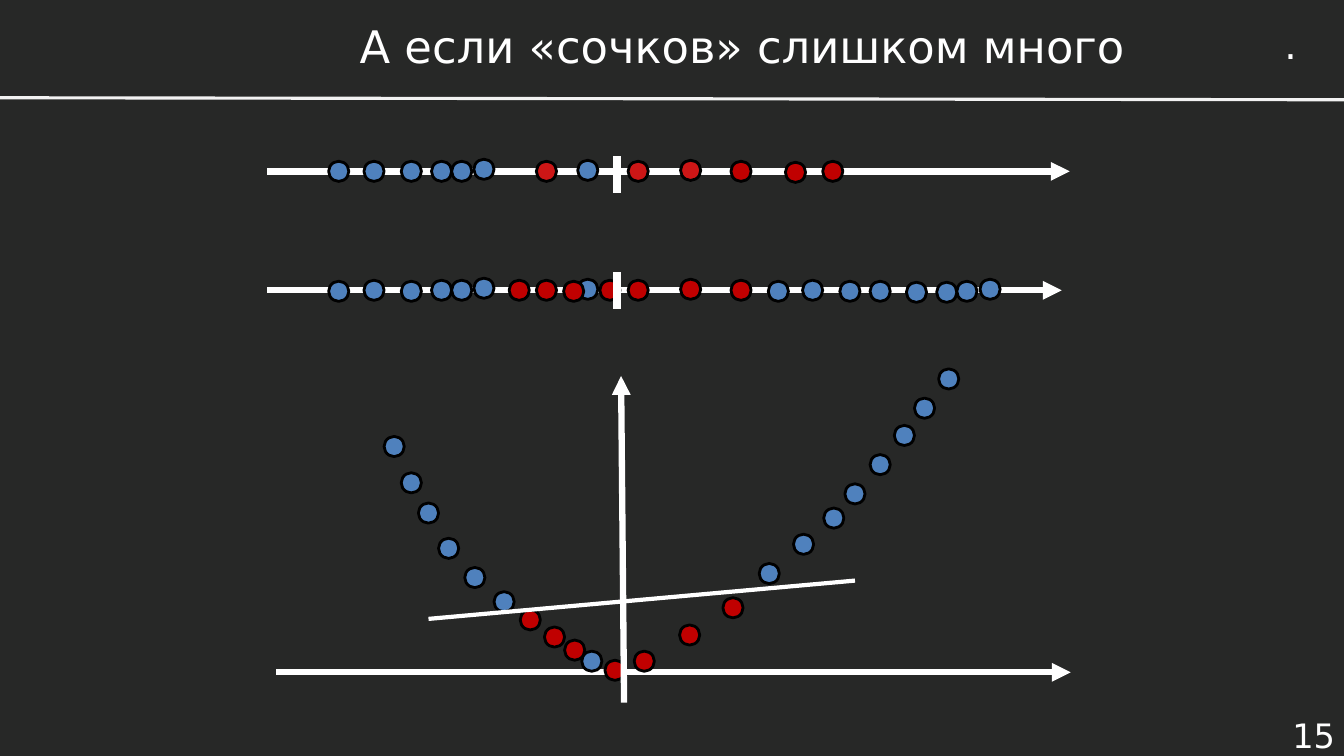
from dataclasses import dataclass
from lxml.etree import SubElement
from pptx import Presentation
from pptx.dml.color import RGBColor
from pptx.enum.shapes import MSO_CONNECTOR as Wire, MSO_SHAPE as Shape
from pptx.enum.text import MSO_ANCHOR as Anchor, MSO_AUTO_SIZE as Fit, PP_ALIGN as Align
from pptx.oxml.ns import qn
from pptx.util import Pt

PX = 9144


@dataclass(frozen=True)
class Theme:
    back: str = "272827"
    white: str = "FFFFFF"
    rule: str = "F2F2F2"
    blue: str = "4F81BD"
    red: str = "C00000"
    light: str = "CC1616"
    edge: str = "000000"
    font: str = "DejaVu Sans"
    title: int = 32
    mark: int = 28
    page: int = 24


theme = Theme()
color = RGBColor.from_string


def write(box, text, size, align, anchor):
    frame = box.text_frame
    frame.vertical_anchor = anchor
    para = frame.paragraphs[0]
    para.alignment = align
    run = para.add_run()
    run.text = text
    run.font.name = theme.font
    run.font.size = Pt(size)
    run.font.color.rgb = color(theme.white)
    return frame


def draw(start, end, width, tint=theme.white, arrow=False):
    wire = shapes.add_connector(
        Wire.STRAIGHT, *[v * PX for v in (*start, *end)])
    wire.line.width = Pt(width)
    wire.line.color.rgb = color(tint)
    props = wire._element.spPr
    if arrow:
        SubElement(props.find(qn("a:ln")), qn("a:tailEnd"), type="triangle")
    SubElement(props, qn("a:effectLst"))


deck = Presentation()
deck.slide_width, deck.slide_height = 1333 * PX, 750 * PX
slide = deck.slides.add_slide(deck.slide_layouts[5])
slide.background.fill.solid()
slide.background.fill.fore_color.rgb = color(theme.back)
shapes = slide.shapes

title = shapes.title
title.left, title.top, title.width, title.height = [
    v * PX for v in (344, 19, 785, 53)]
frame = write(title, "А если «сочков» слишком много",
              theme.title, Align.CENTER, Anchor.MIDDLE)
frame.margin_left = frame.margin_right = 0
frame.auto_size = Fit.NONE

page = shapes.add_textbox(*[v * PX for v in (1229, 708, 105, 42)])
write(page, "15", theme.page, Align.RIGHT, Anchor.MIDDLE).word_wrap = True
mark = shapes.add_textbox(*[v * PX for v in (1264, 15, 34, 57)])
frame = write(mark, ".", theme.mark, Align.LEFT, Anchor.TOP)
frame.word_wrap = False
frame.auto_size = Fit.SHAPE_TO_FIT_TEXT

draw((0, 97), (1333, 99), 2.25, theme.rule)
for left, right, y in ((265, 1061, 170), (265, 1053, 288), (274, 1062, 667)):
    draw((left, y), (right, y), 4.5, arrow=True)

groups = (
    (theme.blue, (
        (326, 160), (361, 160), (398, 160), (428, 160), (448, 160),
        (470, 158), (573, 159))),
    (theme.light, ((532, 160), (623, 160), (675, 159))),
    (theme.red, ((725, 160), (779, 161), (816, 160))),
    (theme.blue, (
        (326, 279), (361, 278), (398, 279), (428, 278), (448, 278),
        (470, 276), (573, 277), (762, 279), (796, 278), (833, 279),
        (863, 279), (899, 280), (929, 280), (949, 279), (972, 277))),
    (theme.red, (
        (505, 278), (532, 278), (559, 279), (595, 278), (623, 278),
        (675, 277), (725, 278))),
    (theme.blue, (
        (381, 433), (398, 469), (415, 499), (435, 534), (461, 563),
        (490, 587), (577, 646), (753, 559), (787, 530), (817, 504),
        (838, 480), (863, 451), (887, 422), (907, 395), (931, 366))),
    (theme.red, (
        (516, 605), (540, 622), (560, 635), (600, 655), (629, 646),
        (674, 620), (717, 593))),
)
for tint, spots in groups:
    for x, y in spots:
        dot = shapes.add_shape(Shape.OVAL, x * PX, y * PX, 20 * PX, 20 * PX)
        dot.shadow.inherit = False
        dot.fill.solid()
        dot.fill.fore_color.rgb = color(tint)
        dot.line.color.rgb = color(theme.edge)
        dot.line.width = Pt(2)

for top, base in ((155, 191), (270, 307)):
    draw((612, top), (612, base), 6)
draw((619, 697), (616, 373), 4.5, arrow=True)
draw((425, 614), (848, 576), 3)

deck.save("out.pptx")
